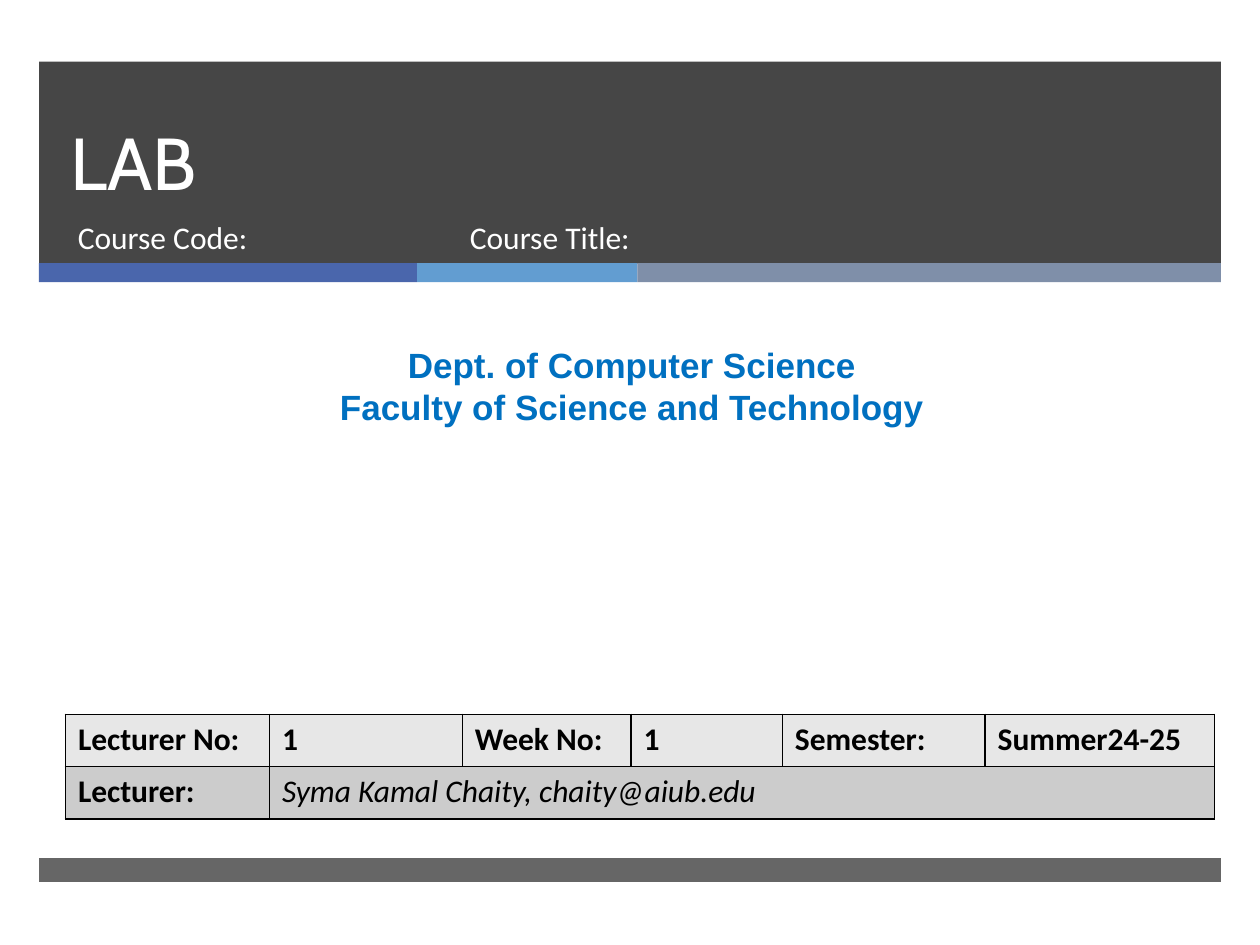
from lxml import etree
from pptx import Presentation
from pptx.dml.color import RGBColor
from pptx.enum.shapes import MSO_SHAPE as SHAPE
from pptx.enum.text import MSO_ANCHOR as ANCHOR, PP_ALIGN as ALIGN
from pptx.oxml.ns import qn
from pptx.util import Pt

COLORS = {
    "dark": "262626", "white": "FFFFFF", "black": "000000",
    "blue": "4A66AC", "sky": "629DD1", "slate": "7F8FA9",
    "heading": "0070C0", "row_light": "E7E7E7", "row_dark": "CCCCCC",
}
LEFT = 22.3
WIDTH = 675.4
STRIPES = [("blue", 216), ("sky", 126), ("slate", 333.4)]
COLUMNS = [116.6, 110.2, 96.5, 86.4, 115.9, 131]
ROW_HEIGHT = 29.9
DETAILS = ["Lecturer No:", "1", "Week No:", "1", "Semester:", "Summer24-25"]


def rgb(name):
    return RGBColor.from_string(COLORS[name])


def add_bar(s, x, y, w, h, color, opacity=100):
    bar = s.shapes.add_shape(SHAPE.RECTANGLE, Pt(x), Pt(y), Pt(w), Pt(h))
    bar.shadow.inherit = False
    bar.line.fill.background()
    bar.fill.solid()
    bar.fill.fore_color.rgb = rgb(color)
    if opacity < 100:
        clr = bar._element.spPr.find(qn("a:solidFill"))[0]
        etree.SubElement(clr, qn("a:alpha")).set("val", str(opacity * 1000))


def write(tf, text, size=18, font="Calibri", color="white", bold=False,
          italic=False, align=ALIGN.LEFT, spacing=None):
    """Fill a text frame, one paragraph for each line of text."""
    for i, line in enumerate(text.split("\n")):
        p = tf.add_paragraph() if i else tf.paragraphs[0]
        p.alignment = align
        if spacing:
            p.line_spacing = Pt(spacing)
        r = p.add_run()
        r.text = line
        r.font.size = Pt(size)
        r.font.name = font
        r.font.bold = bold
        r.font.italic = italic
        r.font.color.rgb = rgb(color)


def add_text(s, x, y, w, h, text, anchor=ANCHOR.TOP, **fmt):
    tf = s.shapes.add_textbox(Pt(x), Pt(y), Pt(w), Pt(h)).text_frame
    tf.word_wrap = True
    tf.vertical_anchor = anchor
    write(tf, text, **fmt)


def set_borders(cell):
    """Draw a 1 pt black line on each side; lines must precede the fill."""
    tc_pr = cell._tc.get_or_add_tcPr()
    for i, side in enumerate(("lnL", "lnR", "lnT", "lnB")):
        ln = etree.Element(qn(f"a:{side}"), w=str(Pt(1)))
        fill = etree.SubElement(ln, qn("a:solidFill"))
        etree.SubElement(fill, qn("a:srgbClr"), val=COLORS["black"])
        tc_pr.insert(i, ln)


def add_details_table(s, x, y):
    frame = s.shapes.add_table(2, len(COLUMNS), Pt(x), Pt(y),
                               Pt(sum(COLUMNS)), Pt(2 * ROW_HEIGHT))
    table = frame.table
    for column, width in zip(table.columns, COLUMNS):
        column.width = Pt(width)
    for row, color in zip(table.rows, ("row_light", "row_dark")):
        row.height = Pt(ROW_HEIGHT)
        for cell in row.cells:
            cell.fill.solid()
            cell.fill.fore_color.rgb = rgb(color)
            set_borders(cell)
    for i, text in enumerate(DETAILS):
        write(table.cell(0, i).text_frame, text, color="black", bold=True)
    lecturer = table.cell(1, 1)
    lecturer.merge(table.cell(1, len(COLUMNS) - 1))
    write(table.cell(1, 0).text_frame, "Lecturer:", color="black", bold=True)
    write(lecturer.text_frame, "Syma Kamal Chaity, chaity@aiub.edu",
          color="black", italic=True)


def main():
    prs = Presentation()
    prs.slide_width, prs.slide_height = Pt(720), Pt(540)
    s = prs.slides.add_slide(prs.slide_layouts[6])

    add_bar(s, LEFT, 35.2, WIDTH, 115.5, "dark", opacity=85)
    x = LEFT
    for color, width in STRIPES:
        add_bar(s, x, 150.4, width, 10.8, color)
        x += width
    add_bar(s, LEFT, 490.3, WIDTH, 13.7, "dark", opacity=70)

    add_text(s, 33.1, 35.3, 614.9, 85.7, "LAB", anchor=ANCHOR.BOTTOM,
             size=42, font="Cabin", spacing=46)
    add_text(s, 37.4, 121, 219.6, 38.2, "Course Code:")
    add_text(s, 261.4, 121, 327.6, 38.2, "Course Title:")
    add_text(s, 5.8, 193, 710.6, 55.4,
             "Dept. of Computer Science\nFaculty of Science and Technology",
             size=20, font="Arial", color="heading", bold=True,
             align=ALIGN.CENTER)
    add_details_table(s, 37.4, 408.2)

    prs.save("out.pptx")


if __name__ == "__main__":
    main()
